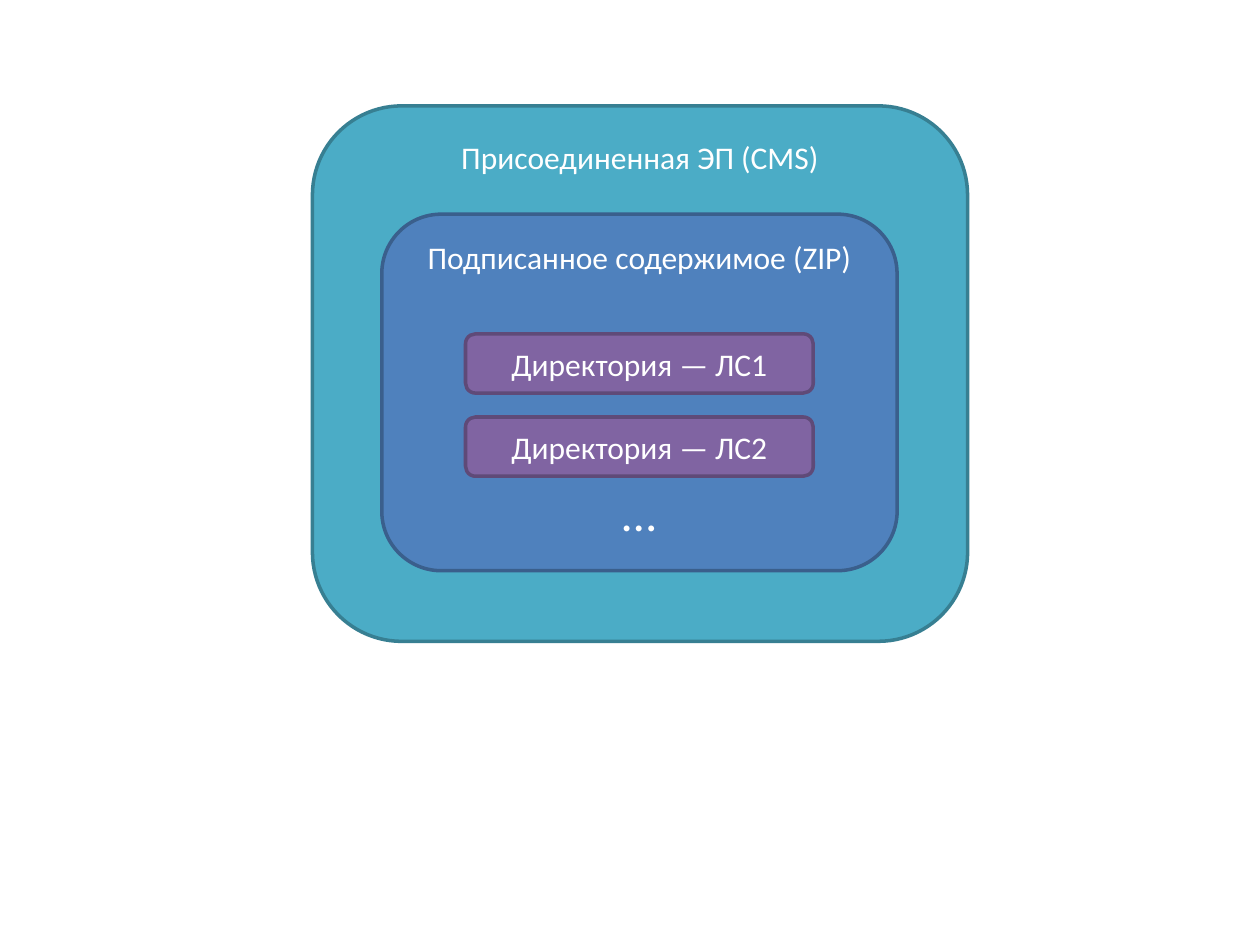
from pptx import Presentation
from pptx.dml.color import RGBColor
from pptx.enum.shapes import MSO_SHAPE
from pptx.enum.text import MSO_ANCHOR, MSO_AUTO_SIZE, PP_ALIGN
from pptx.util import Inches, Pt

ROUND = MSO_SHAPE.ROUNDED_RECTANGLE
TOP, MIDDLE = MSO_ANCHOR.TOP, MSO_ANCHOR.MIDDLE
CENTER, LEFT = PP_ALIGN.CENTER, PP_ALIGN.LEFT
FIT = MSO_AUTO_SIZE.SHAPE_TO_FIT_TEXT

WHITE = "FFFFFF"
TEAL = ("4BACC6", "377F92")
BLUE = ("4F81BD", "3A5F8C")
PURPLE = ("8064A2", "5F4A78")


def color(target, code):
    """Set a colour format from a hex string."""
    target.rgb = RGBColor.from_string(code)


def label(frame, text, size, align):
    """Write one white line of text."""
    para = frame.paragraphs[0]
    para.text = text
    para.alignment = align
    font = para.runs[0].font
    font.name = "Calibri"
    font.size = Pt(size)
    color(font.color, WHITE)


def block(slide, box, text, paint, anchor):
    """Draw a rounded, outlined box with centred text."""
    shape = slide.shapes.add_shape(ROUND, *map(Inches, box))
    shape.shadow.inherit = False
    shape.fill.solid()
    color(shape.fill.fore_color, paint[0])
    color(shape.line.color, paint[1])
    shape.line.width = Pt(2)
    shape.text_frame.word_wrap = True
    shape.text_frame.vertical_anchor = anchor
    label(shape.text_frame, text, 18, CENTER)


def dots(slide, box):
    """Add the ellipsis that continues the list."""
    frame = slide.shapes.add_textbox(*map(Inches, box)).text_frame
    frame.word_wrap = False
    frame.auto_size = FIT
    label(frame, "…", 28, LEFT)


def archive(slide, box):
    """Draw the ZIP content with its stack of directories."""
    left, top, width, height = box
    block(slide, box, "Подписанное содержимое (ZIP)", BLUE, TOP)
    wide, high, pitch = 2.76, 0.47, 0.66
    side = left + (width - wide) / 2
    first = top + 0.95
    names = ["ЛС1", "ЛС2"]
    for row, name in enumerate(names):
        place = (side, first + row * pitch, wide, high)
        block(slide, place, f"Директория — {name}", PURPLE, MIDDLE)
    end = first + (len(names) - 1) * pitch + high
    dots(slide, (left + (width - 0.47) / 2, end, 0.47, 0.57))


def envelope(slide, box):
    """Draw the signature container around the archive."""
    left, top, width, height = box
    block(slide, box, "Присоединенная ЭП (CMS)", TEAL, TOP)
    archive(slide, (left + 0.55, top + 0.86, width - 1.11, height - 1.42))


def main():
    """Build and save the slide."""
    deck = Presentation()
    deck.slide_width, deck.slide_height = Inches(10), Inches(7.5)
    slide = deck.slides.add_slide(deck.slide_layouts[6])
    envelope(slide, (2.48, 0.84, 5.2, 4.25))
    deck.save("out.pptx")


main()
